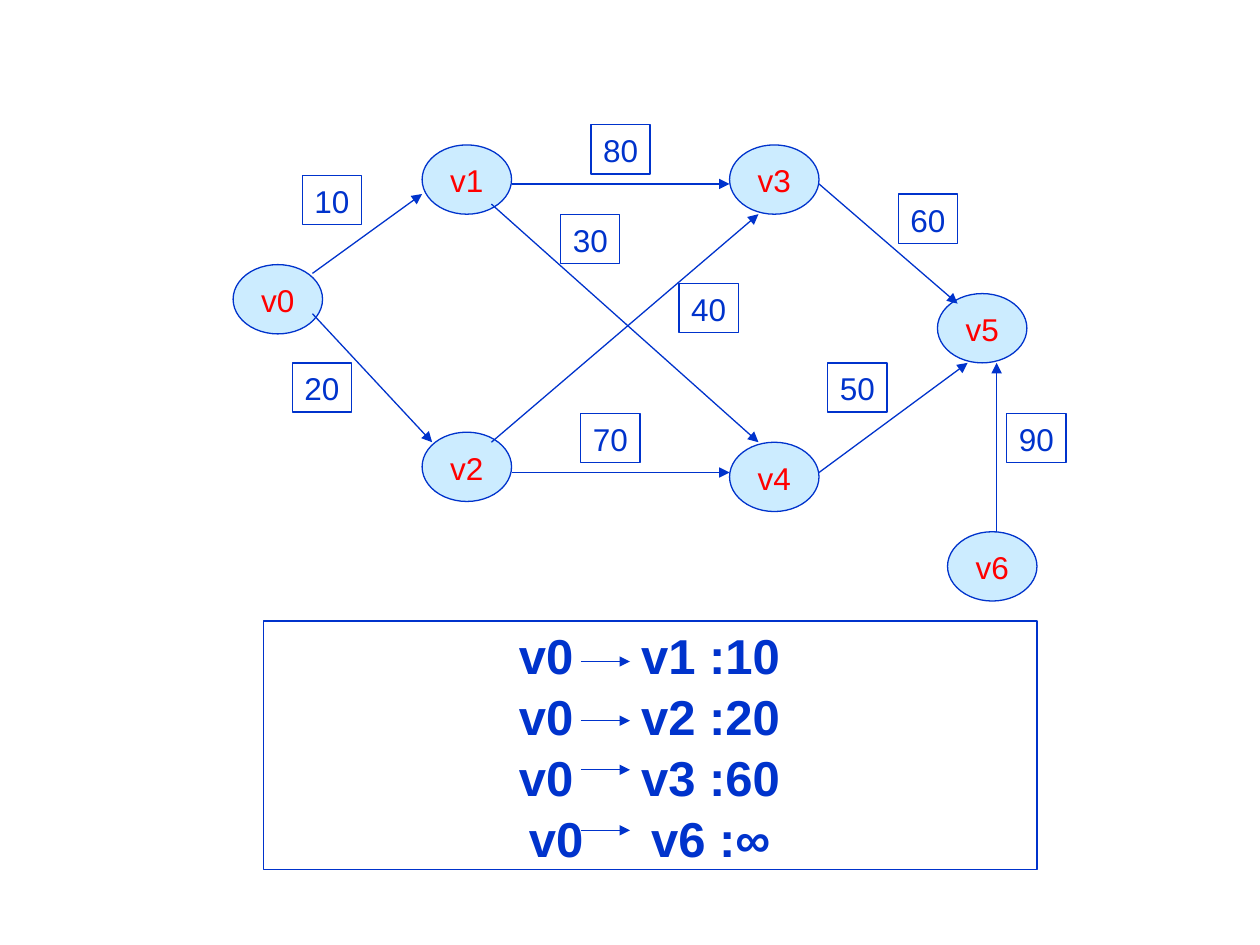
from dataclasses import dataclass
from typing import NamedTuple

from lxml import etree
from pptx import Presentation
from pptx import util as u
from pptx.dml.color import RGBColor
from pptx.enum import shapes, text
from pptx.oxml.ns import qn


@dataclass(frozen=True)
class Theme:
    blue: RGBColor = RGBColor(0x00, 0x33, 0xCC)
    pale: RGBColor = RGBColor(0xCC, 0xEC, 0xFF)
    red: RGBColor = RGBColor(0xFF, 0x00, 0x00)
    white: RGBColor = RGBColor(0xFF, 0xFF, 0xFF)
    font: str = "Arial"
    label_size: float = 18
    result_size: float = 28
    line_width: float = 0.75
    line_spacing: float = 1.04


class Box(NamedTuple):
    label: str
    left: float
    top: float


class Arrow(NamedTuple):
    x1: float
    y1: float
    x2: float
    y2: float


class Result(NamedTuple):
    target: str
    cost: str
    tab: float
    arrow_y: float


THEME = Theme()
VERTEX_SIZE = (0.71, 0.55)
WEIGHT_SIZE = (0.47, 0.39)
RESULT_AREA = (2.09, 4.93, 6.14, 1.97)
RESULT_ARROW = (4.61, 5.0)
TARGET_OFFSET = 0.97

VERTICES = [
    Box("v0", 1.85, 2.1),
    Box("v1", 3.35, 1.15),
    Box("v2", 3.35, 3.43),
    Box("v3", 5.79, 1.15),
    Box("v4", 5.79, 3.51),
    Box("v5", 7.44, 2.33),
    Box("v6", 7.52, 4.22),
]
EDGES = [
    Arrow(2.48, 2.17, 3.35, 1.54),
    Arrow(2.48, 2.49, 3.43, 3.51),
    Arrow(4.06, 1.46, 5.79, 1.46),
    Arrow(4.06, 3.75, 5.79, 3.75),
    Arrow(3.9, 3.51, 6.02, 1.7),
    Arrow(3.9, 1.62, 6.02, 3.51),
    Arrow(6.5, 1.46, 7.6, 2.41),
    Arrow(6.5, 3.75, 7.68, 2.88),
    Arrow(7.91, 4.22, 7.91, 2.88),
]
WEIGHTS = [
    Box("10", 2.4, 1.39),
    Box("20", 2.32, 2.88),
    Box("80", 4.69, 0.99),
    Box("30", 4.45, 1.7),
    Box("40", 5.39, 2.25),
    Box("70", 4.61, 3.28),
    Box("60", 7.13, 1.54),
    Box("50", 6.57, 2.88),
    Box("90", 7.99, 3.28),
]
RESULTS = [
    Result("v1", "10", 1.93, 5.25),
    Result("v2", "20", 1.93, 5.72),
    Result("v3", "60", 1.93, 6.11),
    Result("v6", "∞", 2.01, 6.59),
]


def add_outline(container, kind, left: float, top: float, width: float,
                height: float, fill: RGBColor):
    shape = container.add_shape(kind, u.Inches(left), u.Inches(top),
                                u.Inches(width), u.Inches(height))
    shape.shadow.inherit = False
    shape.fill.solid()
    shape.fill.fore_color.rgb = fill
    shape.line.color.rgb = THEME.blue
    shape.line.width = u.Pt(THEME.line_width)
    shape.text_frame.vertical_anchor = text.MSO_ANCHOR.MIDDLE
    return shape


def add_run(paragraph, content: str, size: float, color: RGBColor,
            bold: bool = False) -> None:
    paragraph.line_spacing = THEME.line_spacing
    run = paragraph.add_run()
    run.text = content
    run.font.name = THEME.font
    run.font.size = u.Pt(size)
    run.font.bold = bold
    run.font.color.rgb = color


def add_label(container, kind, box: Box, size: tuple[float, float],
              fill: RGBColor, color: RGBColor) -> None:
    shape = add_outline(container, kind, box.left, box.top, *size, fill)
    shape.text_frame.word_wrap = False
    paragraph = shape.text_frame.paragraphs[0]
    paragraph.alignment = text.PP_ALIGN.CENTER
    add_run(paragraph, box.label, THEME.label_size, color)


def add_arrow(container, arrow: Arrow) -> None:
    connector = container.add_connector(
        shapes.MSO_CONNECTOR.STRAIGHT, *(u.Inches(value) for value in arrow))
    connector.line.color.rgb = THEME.blue
    connector.line.width = u.Pt(THEME.line_width)
    line = connector.line._get_or_add_ln()
    etree.SubElement(line, qn("a:tailEnd"), type="triangle")
    etree.SubElement(connector._element.spPr, qn("a:effectLst"))


def add_tabs(paragraph, stops: list[float]) -> None:
    tabs = etree.SubElement(paragraph._p.get_or_add_pPr(), qn("a:tabLst"))
    for stop in stops:
        etree.SubElement(tabs, qn("a:tab"), pos=str(u.Inches(stop)), algn="l")


def add_results(container) -> None:
    shape = add_outline(container, shapes.MSO_SHAPE.RECTANGLE, *RESULT_AREA,
                        THEME.white)
    frame = shape.text_frame
    frame.word_wrap = True
    for index, result in enumerate(RESULTS):
        paragraph = frame.add_paragraph() if index else frame.paragraphs[0]
        add_tabs(paragraph, [result.tab, result.tab + TARGET_OFFSET])
        paragraph.alignment = text.PP_ALIGN.LEFT
        add_run(paragraph, f"\tv0\t{result.target} :{result.cost}",
                THEME.result_size, THEME.blue, bold=True)
    start, end = RESULT_ARROW
    for result in RESULTS:
        add_arrow(container, Arrow(start, result.arrow_y, end, result.arrow_y))


def add_graph(container) -> None:
    for vertex in VERTICES:
        add_label(container, shapes.MSO_SHAPE.OVAL, vertex, VERTEX_SIZE,
                  THEME.pale, THEME.red)
    for edge in EDGES:
        add_arrow(container, edge)
    for weight in WEIGHTS:
        add_label(container, shapes.MSO_SHAPE.RECTANGLE, weight, WEIGHT_SIZE,
                  THEME.white, THEME.blue)


def main() -> None:
    presentation = Presentation()
    presentation.slide_width = u.Inches(10)
    presentation.slide_height = u.Inches(7.5)
    slide = presentation.slides.add_slide(presentation.slide_layouts[6])
    add_graph(slide.shapes.add_group_shape().shapes)
    add_results(slide.shapes)
    presentation.save("out.pptx")


if __name__ == "__main__":
    main()
